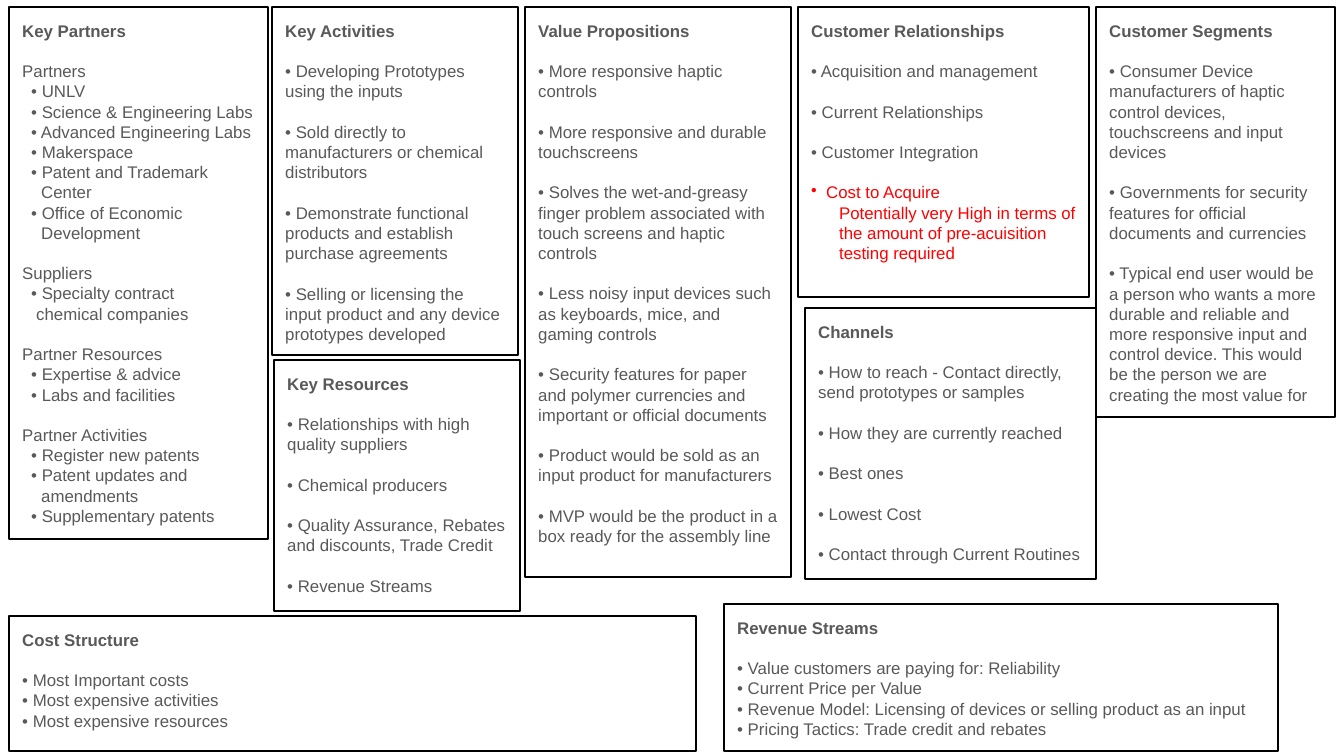
import lxml.etree
import pptx
import pptx.util
import pptx.dml.color
import pptx.enum.shapes
import pptx.enum.text
import pptx.oxml.ns

# Content: heading, (left, top, width, height) in px, blocks of lines.
# A line is a text, or (left indent in px, text). Blocks are one line apart.
ITEM, HANG, SHORT_HANG, DETAIL = 9, 19, 14, 28
BULLET_GAP = 15

BOXES = [
    ("Key Partners", (9, 7, 259, 532), [
        ["Partners",
         (ITEM, "• UNLV"),
         (ITEM, "• Science & Engineering Labs"),
         (ITEM, "• Advanced Engineering Labs"),
         (ITEM, "• Makerspace"),
         (ITEM, "• Patent and Trademark"),
         (HANG, "Center"),
         (ITEM, "• Office of Economic"),
         (HANG, "Development")],
        ["Suppliers",
         (ITEM, "• Specialty contract"),
         (SHORT_HANG, "chemical companies")],
        ["Partner Resources",
         (ITEM, "• Expertise & advice"),
         (ITEM, "• Labs and facilities")],
        ["Partner Activities",
         (ITEM, "• Register new patents"),
         (ITEM, "• Patent updates and"),
         (HANG, "amendments"),
         (ITEM, "• Supplementary patents")],
    ]),
    ("Key Activities", (272, 7, 246, 348), [
        ["• Developing Prototypes using the inputs"],
        ["• Sold directly to manufacturers or chemical distributors"],
        ["• Demonstrate functional products and establish purchase agreements"],
        ["• Selling or licensing the input product and any device prototypes developed"],
    ]),
    ("Key Resources", (274, 360, 246, 251), [
        ["• Relationships with high quality suppliers"],
        ["• Chemical producers"],
        ["• Quality Assurance, Rebates and discounts, Trade Credit"],
        ["• Revenue Streams"],
    ]),
    ("Value Propositions", (525, 7, 266, 570), [
        ["• More responsive haptic controls"],
        ["• More responsive and durable touchscreens"],
        ["• Solves the wet-and-greasy finger problem associated with "
         "touch screens and haptic controls"],
        ["• Less noisy input devices such as keyboards, mice, and gaming controls"],
        ["• Security features for paper and polymer currencies and "
         "important or official documents"],
        ["• Product would be sold as an input product for manufacturers"],
        ["• MVP would be the product in a box ready for the assembly line"],
    ]),
    ("Customer Relationships", (798, 7, 291, 290), [
        ["• Acquisition and management"],
        ["• Current Relationships"],
        ["• Customer Integration"],
        ["Cost to Acquire",
         (DETAIL, "Potentially very High in terms of"),
         (DETAIL, "the amount of pre-acuisition"),
         (DETAIL, "testing required")],
    ]),
    ("Channels", (805, 308, 291, 271), [
        ["• How to reach - Contact directly, send prototypes or samples"],
        ["• How they are currently reached"],
        ["• Best ones"],
        ["• Lowest Cost"],
        ["• Contact through Current Routines"],
    ]),
    ("Customer Segments", (1096, 7, 239, 410), [
        ["• Consumer Device manufacturers of haptic control devices, "
         "touchscreens and input devices"],
        ["• Governments for security features for official documents and currencies"],
        ["• Typical end user would be a person who wants a more durable and "
         "reliable and more responsive input and control device. This would "
         "be the person we are creating the most value for"],
    ]),
    ("Cost Structure", (9, 616, 687, 135), [
        ["• Most Important costs",
         "• Most expensive activities",
         "• Most expensive resources"],
    ]),
    ("Revenue Streams", (724, 604, 554, 147), [
        ["• Value customers are paying for: Reliability",
         "• Current Price per Value",
         "• Revenue Model: Licensing of devices or selling product as an input",
         "• Pricing Tactics: Trade credit and rebates"],
    ]),
]
WARNING = "Cost to Acquire"  # opens the red block, with a wider bullet gap
FILLED = "Key Partners"

RGB = pptx.dml.color.RGBColor.from_string
Pt = pptx.util.Pt
THEME = {
    "font": "Arial", "size": Pt(9), "leading": Pt(10.82),
    "text": RGB("595959"), "warning": RGB("FF0000"),
    "line": RGB("000000"), "fill": RGB("FFFFFF"), "line_width": Pt(0.75),
}


def px(n):
    return round(n * 914400 / 134.4)


FRAME = {
    "word_wrap": True,
    "vertical_anchor": pptx.enum.text.MSO_ANCHOR.TOP,
    **{f"margin_{side}": pptx.util.Inches(0.1)
       for side in ("left", "top", "right", "bottom")},
}


def apply(target, values):
    for name, value in values.items():
        setattr(target, name, value)


def write_line(p, text, color, bold=False, indent=0, gap=False):
    apply(p, {
        "alignment": pptx.enum.text.PP_ALIGN.LEFT,
        "line_spacing": THEME["leading"],
        "space_before": THEME["leading"] if gap else Pt(0),
    })
    pPr = p._p.get_or_add_pPr()
    if indent:
        pPr.set("marL", str(px(indent)))
    if text == WARNING:
        pPr.set("marL", str(px(BULLET_GAP)))
        pPr.set("indent", str(-px(BULLET_GAP)))
        lxml.etree.SubElement(pPr, pptx.oxml.ns.qn("a:buChar"), char="•")
    r = p.add_run()
    r.text = text
    apply(r.font, {"name": THEME["font"], "size": THEME["size"], "bold": bold})
    r.font.color.rgb = color


def add_box(s, heading, place, blocks):
    sp = s.shapes.add_shape(pptx.enum.shapes.MSO_SHAPE.RECTANGLE, *map(px, place))
    sp.shadow.inherit = False
    if heading == FILLED:
        sp.fill.solid()
        sp.fill.fore_color.rgb = THEME["fill"]
    else:
        sp.fill.background()
    sp.line.color.rgb = THEME["line"]
    sp.line.width = THEME["line_width"]

    tf = sp.text_frame
    apply(tf, FRAME)
    write_line(tf.paragraphs[0], heading, THEME["text"], bold=True)
    for block in blocks:
        color = THEME["warning" if block[0] == WARNING else "text"]
        for i, line in enumerate(block):
            indent, text = line if isinstance(line, tuple) else (0, line)
            write_line(tf.add_paragraph(), text, color, indent=indent, gap=i == 0)


def main():
    prs = pptx.Presentation()
    prs.slide_width, prs.slide_height = px(1344), px(756)
    s = prs.slides.add_slide(prs.slide_layouts[6])
    for box in BOXES:
        add_box(s, *box)
    prs.save("out.pptx")


if __name__ == "__main__":
    main()
